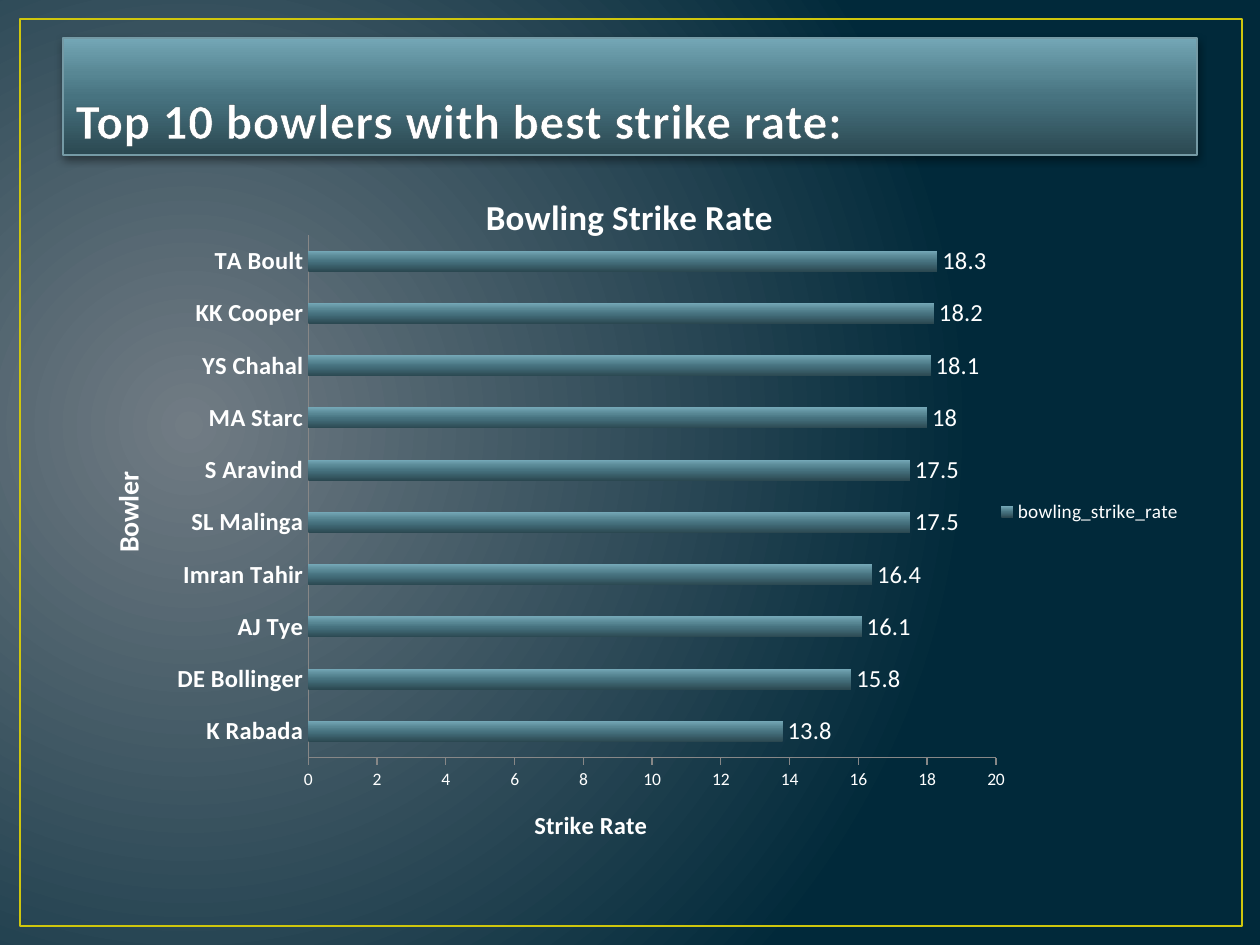
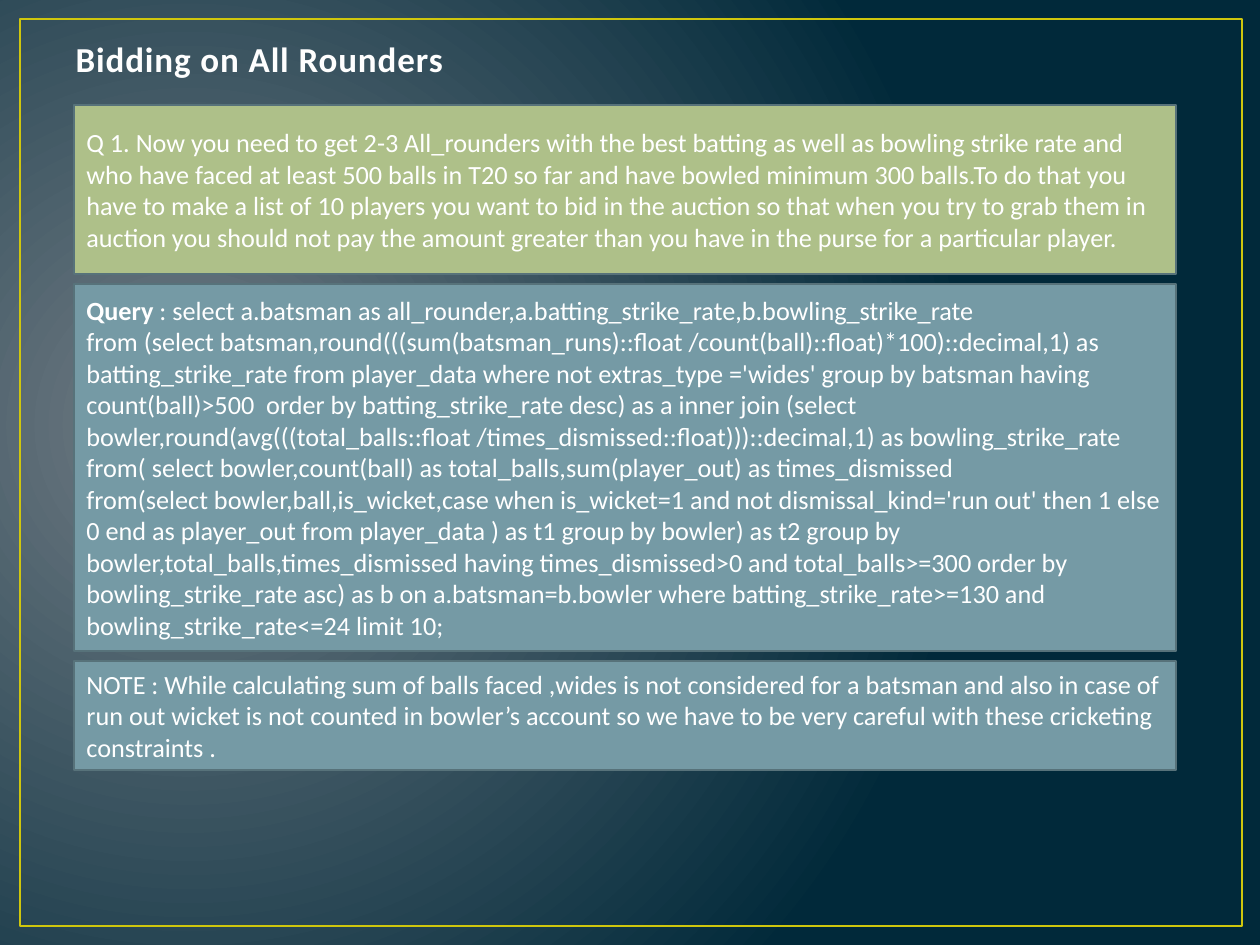
from pptx import Presentation
from pptx.chart.data import CategoryChartData
from pptx.dml.color import RGBColor
from pptx.enum.chart import XL_CHART_TYPE, XL_LABEL_POSITION, XL_LEGEND_POSITION, XL_TICK_MARK
from pptx.enum.shapes import MSO_SHAPE
from pptx.enum.text import MSO_ANCHOR, MSO_AUTO_SIZE, PP_ALIGN
from pptx.oxml import parse_xml
from pptx.oxml.ns import nsdecls, qn
from pptx.util import Pt

RECT = MSO_SHAPE.RECTANGLE
BAR = XL_CHART_TYPE.BAR_CLUSTERED
OUTSIDE_END = XL_LABEL_POSITION.OUTSIDE_END
LEGEND_RIGHT = XL_LEGEND_POSITION.RIGHT
TICK_NONE, TICK_OUT = XL_TICK_MARK.NONE, XL_TICK_MARK.OUTSIDE
BOTTOM, MIDDLE = MSO_ANCHOR.BOTTOM, MSO_ANCHOR.MIDDLE
LEFT = PP_ALIGN.LEFT
NO_AUTOFIT = MSO_AUTO_SIZE.NONE

FONT = "Calibri"
WHITE, TITLE_WHITE = "FFFFFF", "FEFEFE"
GOLD, GREEN, TEAL, TEAL_DARK = "CFC60D", "AEC089", "759AA5", "57727A"
OUTLINE, AXIS_GRAY = "384F55", "878787"
BACK_STOPS = [(0, "717C84"), (100, "01293A")]
BACK_PATH = '<a:path path="circle"><a:fillToRect l="15000" t="50000" r="85000" b="60000"/></a:path>'
GLOSS_STOPS = [(0, "2B4851"), (50, "477380"), (70, "588794"), (100, "74A7B6")]
UPWARD = '<a:lin ang="16200000" scaled="0"/>'

SCALE = 914400 / 126


def px(*lengths):
    return [round(n * SCALE) for n in lengths]


def rgb(color):
    return RGBColor.from_string(color)


def set_gradient(fill, props, stops, direction):
    """Fill the element props, which holds fill, with a gradient."""
    fill.solid()
    fill.fore_color.rgb = rgb(stops[0][1])
    marks = "".join(f'<a:gs pos="{pos * 1000}"><a:srgbClr val="{color}"/></a:gs>'
                    for pos, color in stops)
    props.replace(props.find(qn("a:solidFill")), parse_xml(
        f'<a:gradFill {nsdecls("a")} rotWithShape="1"><a:gsLst>{marks}</a:gsLst>'
        f'{direction}</a:gradFill>'))


def set_font(font, size, color=WHITE, bold=False):
    font.name, font.size, font.bold = FONT, Pt(size), bold
    font.color.rgb = rgb(color)


def set_line(line, color, width):
    line.color.rgb = rgb(color)
    line.width = Pt(width)


def add_run(p, text, **style):
    r = p.add_run()
    r.text = text
    set_font(r.font, **style)
    return r


class Deck:
    def __init__(self):
        self.prs = Presentation()
        self.prs.slide_width, self.prs.slide_height = px(1260, 945)
        master = self.prs.slide_master
        back = master.background.fill
        back.solid()
        set_gradient(back, master.element.find(".//" + qn("p:bgPr")), BACK_STOPS, BACK_PATH)

    def slide(self):
        self.s = self.prs.slides.add_slide(self.prs.slide_layouts[5])
        self.rect(20, 19, 1222, 907, line=GOLD, width=1.5)

    def rect(self, x, y, w, h, line, width, fill=None):
        sp = self.s.shapes.add_shape(RECT, *px(x, y, w, h))
        sp.shadow.inherit = False
        if fill:
            sp.fill.solid()
            sp.fill.fore_color.rgb = rgb(fill)
        else:
            sp.fill.background()
        set_line(sp.line, line, width)
        return sp

    def title(self, text, h, size, color=WHITE, banner=False):
        sp = self.s.shapes.title
        sp.left, sp.top, sp.width, sp.height = px(63, 38, 1134, h)
        tf = sp.text_frame
        tf.word_wrap, tf.auto_size, tf.vertical_anchor = True, NO_AUTOFIT, BOTTOM
        p = tf.paragraphs[0]
        p.alignment = LEFT
        rpr = add_run(p, text, size=size, color=color, bold=True).font._element
        rpr.set("spc", "50")
        rpr.insert(0, parse_xml(
            f'<a:ln {nsdecls("a")} w="13335"><a:solidFill><a:srgbClr val="{OUTLINE}"/>'
            '</a:solidFill></a:ln>'))
        if banner:
            set_gradient(sp.fill, sp.element.spPr, GLOSS_STOPS, UPWARD)
            set_line(sp.line, TEAL, 0.75)
            sp.shadow.inherit = False
            sp.element.spPr.find(qn("a:effectLst")).append(parse_xml(
                f'<a:outerShdw {nsdecls("a")} blurRad="63500" dist="25400" dir="5400000" '
                'rotWithShape="0"><a:srgbClr val="000000"><a:alpha val="43000"/></a:srgbClr>'
                '</a:outerShdw>'))

    def panel(self, y, h, fill, paragraphs, lead=None):
        """Add a full-width text panel, with an optional bold lead-in."""
        tf = self.rect(74, y, 1102, h, TEAL_DARK, 1.25, fill).text_frame
        tf.word_wrap, tf.vertical_anchor = True, MIDDLE
        for i, text in enumerate(paragraphs):
            p = tf.add_paragraph() if i else tf.paragraphs[0]
            p.alignment = LEFT
            if lead and i == 0:
                add_run(p, lead, size=15, bold=True)
            add_run(p, text, size=15)

    def bar_chart(self, x, y, w, h, title, name, rows, cat_title, val_title, plot):
        data = CategoryChartData()
        data.categories = [cat for cat, _ in rows]
        data.add_series(name, [val for _, val in rows])
        chart = self.s.shapes.add_chart(BAR, *px(x, y, w, h), data).chart
        set_font(chart.font, 10)
        self.chart_title(chart, title, 20)

        cat, val = chart.category_axis, chart.value_axis
        for axis, text, size in ((cat, cat_title, 16), (val, val_title, 14)):
            self.chart_title(axis, text, size)
            set_line(axis.format.line, AXIS_GRAY, 0.75)
            axis.has_major_gridlines = False
        cat.major_tick_mark, val.major_tick_mark = TICK_NONE, TICK_OUT
        set_font(cat.tick_labels.font, 14, bold=True)
        set_font(val.tick_labels.font, 10)
        val.minimum_scale, val.maximum_scale, val.major_unit = 0, 20, 2

        chart.has_legend = True
        chart.legend.position = LEGEND_RIGHT
        chart.legend.include_in_layout = False
        set_font(chart.legend.font, 11)

        bars = chart.plots[0]
        bars.gap_width, bars.vary_by_categories = 150, False
        ser = bars.series[0]
        fill = ser.format.fill
        fill.solid()
        set_gradient(fill, ser._element.find(qn("c:spPr")), GLOSS_STOPS, UPWARD)
        labels = ser.data_labels
        labels.show_value, labels.position = True, OUTSIDE_END
        set_font(labels.font, 14)
        self.place_plot(chart, plot)

    @staticmethod
    def chart_title(owner, text, size):
        owner.has_title = True
        tf = (owner.chart_title if hasattr(owner, "chart_title") else owner.axis_title).text_frame
        add_run(tf.paragraphs[0], text, size=size, bold=True)

    @staticmethod
    def place_plot(chart, plot):
        """Fix the inner plot area, given as fractions of the chart."""
        area = chart._chartSpace.find(".//" + qn("c:plotArea"))
        old = area.find(qn("c:layout"))
        if old is not None:
            area.remove(old)
        sizes = "".join(f'<c:{tag} val="{n}"/>' for tag, n in zip("xywh", plot))
        area.insert(0, parse_xml(
            f'<c:layout {nsdecls("c")}><c:manualLayout><c:layoutTarget val="inner"/>'
            f'<c:xMode val="edge"/><c:yMode val="edge"/>{sizes}</c:manualLayout></c:layout>'))


STRIKE_RATES = [
    ("K Rabada", 13.8), ("DE Bollinger", 15.8), ("AJ Tye", 16.1), ("Imran Tahir", 16.4),
    ("SL Malinga", 17.5), ("S Aravind", 17.5), ("MA Starc", 18), ("YS Chahal", 18.1),
    ("KK Cooper", 18.2), ("TA Boult", 18.3),
]
QUESTION = (
    "Q 1. Now you need to get 2-3 All_rounders with the best batting as well as bowling strike "
    "rate and who have faced at least 500 balls in T20 so far and have bowled minimum 300 "
    "balls.To do that you have to make a list of 10 players you want to bid in the auction so "
    "that when you try to grab them in auction you should not pay the amount greater than you "
    "have in the purse for a particular player.")
QUERY = [
    " : select a.batsman as all_rounder,a.batting_strike_rate,b.bowling_strike_rate",
    "from (select batsman,round(((sum(batsman_runs)::float /count(ball)::float)*100)::decimal,1) "
    "as batting_strike_rate from player_data where not extras_type ='wides' group by batsman "
    "having  count(ball)>500  order by batting_strike_rate desc) as a inner join (select "
    "bowler,round(avg(((total_balls::float /times_dismissed::float)))::decimal,1) as "
    "bowling_strike_rate",
    "from( select bowler,count(ball) as total_balls,sum(player_out) as times_dismissed",
    "from(select bowler,ball,is_wicket,case when is_wicket=1 and not dismissal_kind='run out' "
    "then 1 else 0 end as player_out from player_data ) as t1 group by bowler) as t2 group by "
    "bowler,total_balls,times_dismissed having times_dismissed>0 and total_balls>=300 order by "
    "bowling_strike_rate asc) as b on a.batsman=b.bowler where batting_strike_rate>=130 and "
    "bowling_strike_rate<=24 limit 10;",
]
NOTE = (
    "NOTE : While calculating sum of balls faced ,wides is not considered for a batsman and also "
    "in case of run out wicket is not counted in bowler’s account so we have to be very careful "
    "with these cricketing constraints .")


def main():
    deck = Deck()

    deck.slide()
    deck.title("Top 10 bowlers with best strike rate:", h=117, size=28, banner=True)
    deck.bar_chart(64, 165, 1131, 694, "Bowling Strike Rate", "bowling_strike_rate",
                   STRIKE_RATES, "Bowler", "Strike Rate", plot=(0.216, 0.101, 0.608, 0.753))

    deck.slide()
    deck.title("Bidding on All Rounders", h=48, size=20, color=TITLE_WHITE)
    deck.panel(105, 169, GREEN, [QUESTION])
    deck.panel(284, 367, TEAL, QUERY, lead="Query")
    deck.panel(661, 109, TEAL, [NOTE])

    deck.prs.save("out.pptx")


if __name__ == "__main__":
    main()
